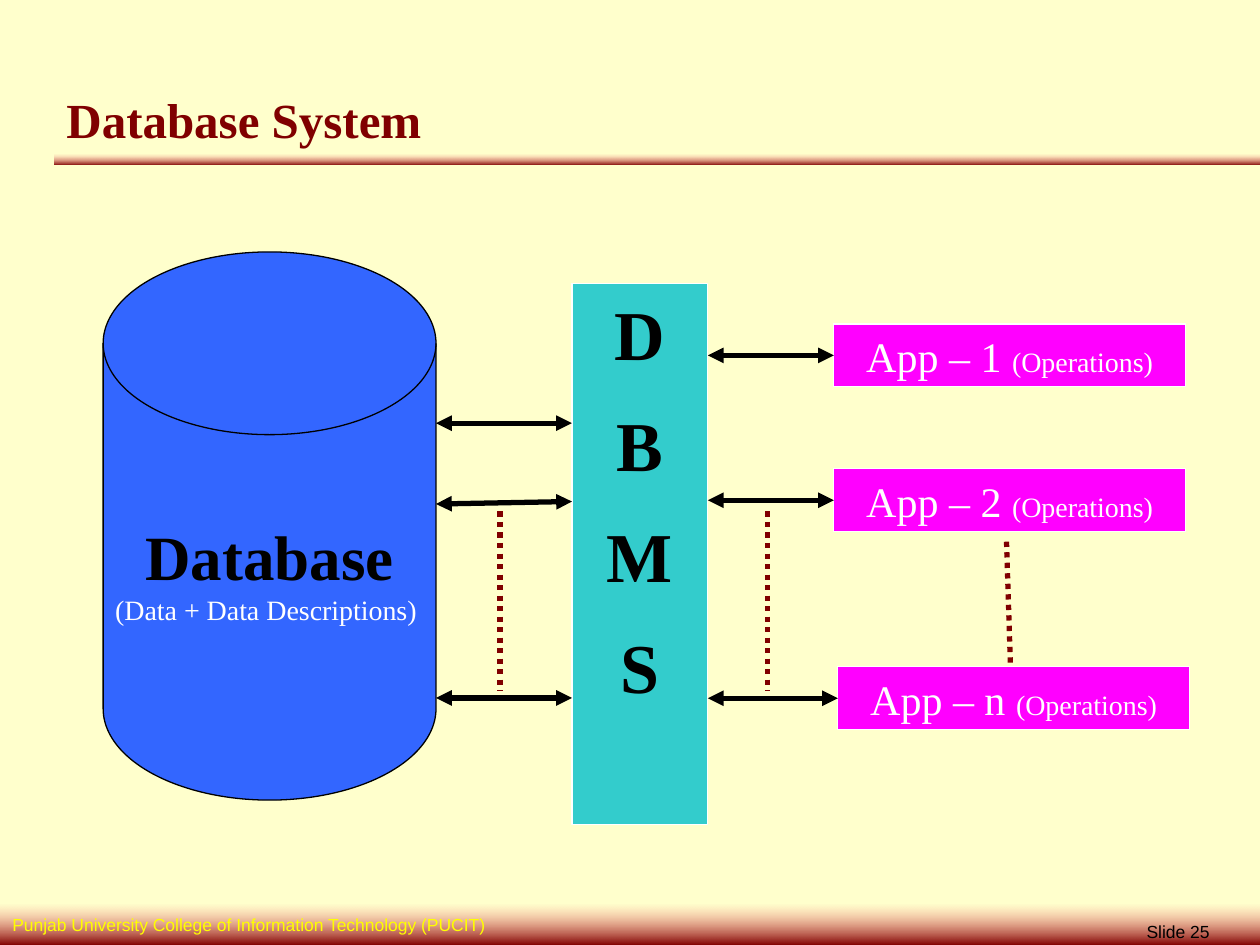
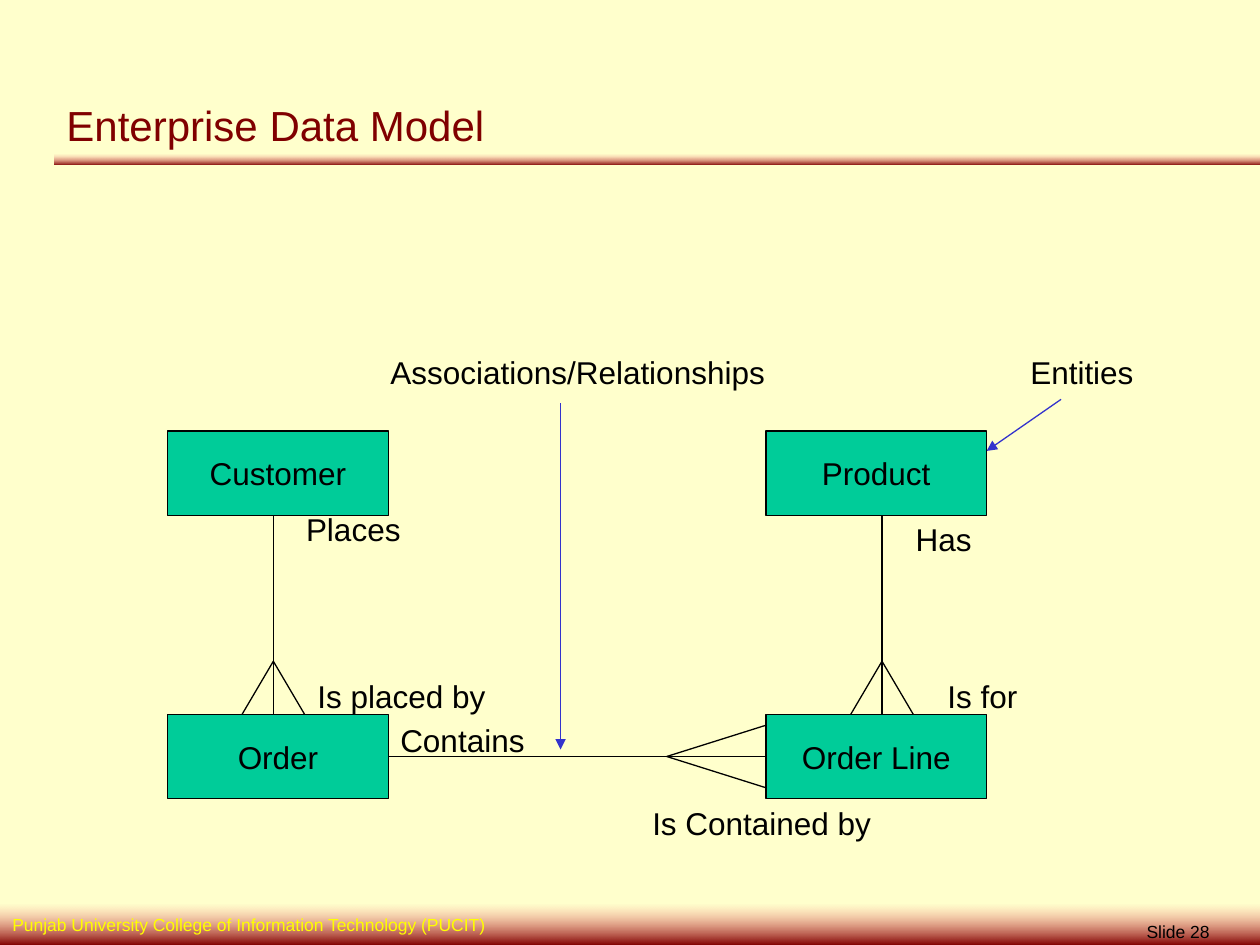
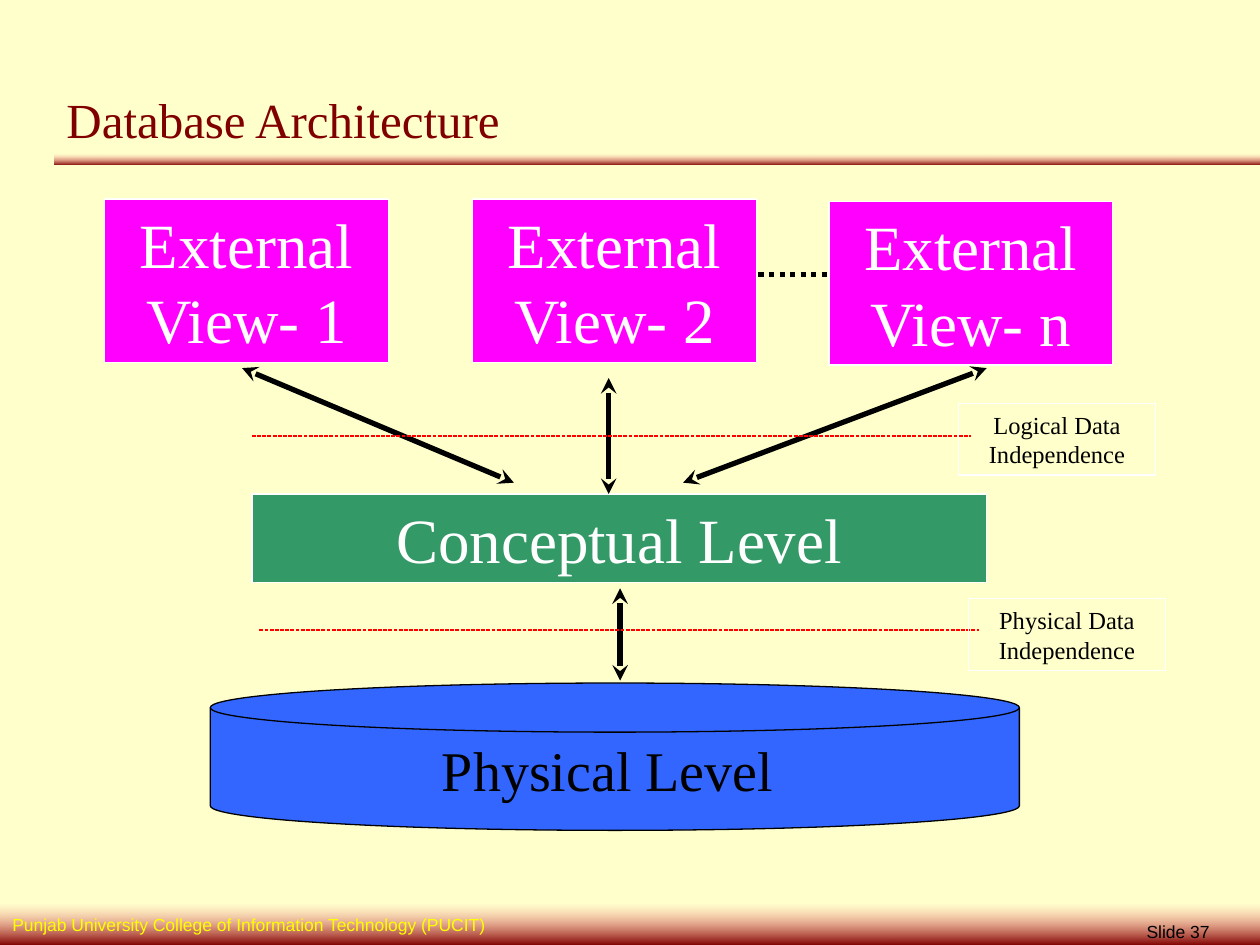
from lxml import etree
from pptx import Presentation
from pptx import util as u
from pptx.dml.color import RGBColor
from pptx.enum import dml, shapes, text
from pptx.oxml.ns import qn

CREAM = RGBColor(0xFF, 0xFF, 0xCC)
MAROON = RGBColor(0x80, 0x00, 0x00)
ROSE = RGBColor(0xFF, 0x85, 0x85)
YELLOW = RGBColor(0xFF, 0xFF, 0x00)
BLACK = RGBColor(0x00, 0x00, 0x00)
WHITE = RGBColor(0xFF, 0xFF, 0xFF)
BLUE = RGBColor(0x33, 0x66, 0xFF)
INDIGO = RGBColor(0x33, 0x33, 0xCC)
MAGENTA = RGBColor(0xFF, 0x00, 0xFF)
TURQUOISE = RGBColor(0x33, 0xCC, 0xCC)
MINT = RGBColor(0x00, 0xCC, 0x99)
GREEN = RGBColor(0x33, 0x99, 0x66)
RED = RGBColor(0xFF, 0x00, 0x00)

SANS = "Arial"
SERIF = "Times New Roman"
RECTANGLE = shapes.MSO_SHAPE.RECTANGLE
DISK = shapes.MSO_SHAPE.FLOWCHART_MAGNETIC_DISK
TOP = text.MSO_ANCHOR.TOP
MIDDLE = text.MSO_ANCHOR.MIDDLE
LEFT = text.PP_ALIGN.LEFT
CENTER = text.PP_ALIGN.CENTER
DOTS = dml.MSO_LINE.ROUND_DOT
DASHES = dml.MSO_LINE.SQUARE_DOT
FOOTER = "Punjab University College of Information Technology (PUCIT)"


def set_all(target, values):
    for name, value in values.items():
        setattr(target, name, value)


def style(size, color=BLACK, name=SERIF, bold=False):
    return {"size": u.Pt(size), "color": color, "name": name, "bold": bold}


class Deck:
    def __init__(self):
        self.presentation = Presentation()
        set_all(self.presentation, {"slide_width": u.Cm(25.4), "slide_height": u.Cm(19.05)})
        background = self.presentation.slide_master.background.fill
        background.solid()
        background.fore_color.rgb = CREAM
        self.slide = None

    def start(self, title, number, title_style, top=1.68, height=1.45, anchor=TOP):
        self.slide = self.presentation.slides.add_slide(self.presentation.slide_layouts[5])
        self.band(1.09, 3.12, 24.31, 0.2)
        self.band(0, 18.24, 25.4, 0.81)
        self.label(FOOTER, (0, 18.29, 16.4, 0.69), style(10, YELLOW, SANS))
        self.label(f"Slide {number}", (22.1, 18.44, 3.3, 0.61), style(10, name=SANS), CENTER)
        place = self.slide.shapes.title
        box = (1.09, top, 17.8, height)
        set_all(place, dict(zip(("left", "top", "width", "height"), map(u.Cm, box))))
        self.fill_text(place, [[(title, title_style)]], LEFT, anchor)

    def band(self, *box):
        shape = self.slide.shapes.add_shape(RECTANGLE, *map(u.Cm, box))
        shape.shadow.inherit = False
        shape.line.fill.background()
        shape.fill.gradient()
        for stop, color in zip(shape.fill.gradient_stops, (MAROON, ROSE)):
            stop.color.rgb = color
        last_color = shape.element.findall(".//" + qn("a:srgbClr"))[-1]
        etree.SubElement(last_color, qn("a:alpha"), val="0")

    def fill_text(self, shape, paragraphs, align=CENTER, anchor=TOP, wrap=True, spacing=None):
        frame = shape.text_frame
        set_all(frame, {
            "word_wrap": wrap, "auto_size": text.MSO_AUTO_SIZE.NONE, "vertical_anchor": anchor,
            "margin_left": u.Cm(0.25), "margin_right": u.Cm(0.25),
            "margin_top": u.Cm(0.13), "margin_bottom": u.Cm(0.13),
        })
        for index, runs in enumerate(paragraphs):
            paragraph = frame.add_paragraph() if index else frame.paragraphs[0]
            paragraph.alignment = align
            if index and spacing:
                set_all(paragraph, spacing)
            for words, run_style in runs:
                run = paragraph.add_run()
                run.text = words
                values = dict(run_style)
                run.font.color.rgb = values.pop("color")
                set_all(run.font, values)

    def label(self, words, box, label_style, align=LEFT):
        shape = self.slide.shapes.add_textbox(*map(u.Cm, box))
        self.fill_text(shape, [[(words, label_style)]], align)

    def shape(self, paragraphs, box, fill, outline=WHITE, kind=RECTANGLE, **layout):
        shape = self.slide.shapes.add_shape(kind, *map(u.Cm, box))
        shape.shadow.inherit = False
        if fill is None:
            shape.fill.background()
        else:
            shape.fill.solid()
            shape.fill.fore_color.rgb = fill
        shape.line.color.rgb = outline
        shape.line.width = u.Pt(0.75)
        self.fill_text(shape, paragraphs, **layout)
        return shape

    def line(self, *ends, color=BLACK, width=0.75, dash=None, head=None, tail=None):
        connector = self.slide.shapes.add_connector(
            shapes.MSO_CONNECTOR.STRAIGHT, *map(u.Cm, ends))
        connector.line.color.rgb = color
        set_all(connector.line, {"width": u.Pt(width), "dash_style": dash})
        outline = connector.element.spPr.find(qn("a:ln"))
        for tag, arrow in (("a:headEnd", head), ("a:tailEnd", tail)):
            if arrow:
                etree.SubElement(outline, qn(tag), type=arrow)
        etree.SubElement(connector.element.spPr, qn("a:effectLst"))
        return connector


def database_system(deck):
    deck.start("Database System", 25, style(28, MAROON, bold=True))
    deck.shape([[("Database", style(36, bold=True))],
                [("(Data + Data Descriptions) ", style(16, WHITE))]],
               (2.08, 5.08, 6.71, 11.05), BLUE, BLACK, DISK, anchor=MIDDLE, wrap=False)
    deck.shape([[(letter, style(40, bold=True))] for letter in "DBMS"],
               (11.53, 5.72, 2.74, 10.9), TURQUOISE,
               spacing={"space_before": u.Pt(25), "line_spacing": 0.8})
    double = {"width": 3, "head": "triangle", "tail": "triangle"}
    for start, end in ((8.53, 8.53), (10.16, 10.11), (14.07, 14.07)):
        deck.line(8.79, start, 11.53, end, **double)
    for name, left, top in (("1", 16.81, 6.53), ("2", 16.81, 9.45), ("n", 16.89, 13.44)):
        app = deck.shape([[(f"App – {name} ", style(24, WHITE)),
                           ("(Operations)", style(16, WHITE))]],
                         (left, top, 7.09, 1.27), MAGENTA)
        middle = top + 1.27 / 2
        deck.line(14.27, middle, left, middle, **double).end_connect(app, 1)
    for ends in ((10.08, 10.31, 10.08, 13.92), (15.47, 10.31, 15.47, 13.92),
                 (20.29, 10.92, 20.37, 13.44)):
        deck.line(*ends, color=MAROON, width=3, dash=DOTS)


def enterprise_data_model(deck):
    deck.start("Enterprise Data Model", 28, style(24, MAROON, SANS), 1.73, 1.57, MIDDLE)
    plain = style(18, name=SANS)
    entities = {}
    for name, left, top in (("Customer", 3.38, 8.69), ("Order Line", 15.44, 14.4),
                            ("Order", 3.38, 14.4), ("Product", 15.44, 8.69)):
        entities[name] = deck.shape([[(name, plain)]], (left, top, 4.45, 1.7), MINT, BLACK,
                                    anchor=MIDDLE, wrap=False)
    for x in (5.51, 17.78):
        deck.line(x, 10.39, x, 14.4)
    contains = deck.line(7.83, 15.25, 15.44, 15.25)
    contains.begin_connect(entities["Order"], 3)
    contains.end_connect(entities["Order Line"], 1)
    for spread in (0.63, -0.63):
        for x in (5.51, 17.78):
            deck.line(x, 13.33, x + spread, 14.4)
        deck.line(13.44, 15.25, 15.44, 15.25 + spread)
    for words, left, top, width in (
            ("Places", 5.92, 10.16, 2.97), ("Is placed by", 6.15, 13.51, 4.45),
            ("Contains", 7.82, 14.4, 3.81), ("Is Contained by", 12.9, 16.08, 5.51),
            ("Is for", 18.85, 13.51, 2.97), ("Has", 18.21, 10.36, 3.61),
            ("Entities", 20.52, 6.98, 3.61), ("Associations/Relationships", 7.62, 6.98, 8.89)):
        deck.label(words, (left, top, width, 1.02), plain)
    for ends in ((21.39, 8.05, 19.89, 9.09), (11.3, 8.13, 11.3, 15.11)):
        deck.line(*ends, color=INDIGO, tail="triangle")


def database_architecture(deck):
    deck.start("Database Architecture", 37, style(28, MAROON))
    for name, left, top in (("1", 2.11, 4.01), ("2", 9.53, 4.01), ("n", 16.71, 4.06)):
        deck.shape([[(f"External View- {name}", style(36, WHITE))]],
                   (left, top, 5.72, 3.3), MAGENTA)
    deck.shape([[("Physical Level ", style(32))]], (4.24, 13.77, 16.31, 2.97),
               BLUE, BLACK, DISK, anchor=MIDDLE, wrap=False)
    deck.shape([[("Conceptual Level", style(36, WHITE))]], (5.08, 9.96, 14.81, 1.78), GREEN)
    for ends in ((12.5, 11.86, 12.5, 13.72), (4.88, 7.42, 10.36, 9.73),
                 (12.27, 7.62, 12.27, 9.96), (19.89, 7.42, 13.77, 9.73)):
        deck.line(*ends, width=3, head="stealth", tail="stealth")
    deck.line(15.29, 5.54, 16.69, 5.54, width=3, dash=DOTS)
    for level, line_left, y, left, top in (("Logical", 5.08, 8.79, 19.33, 8.13),
                                           ("Physical", 5.23, 12.7, 19.53, 12.07)):
        deck.line(line_left, y, line_left + 14.5, y, color=RED, dash=DASHES)
        deck.shape([[(f"{level} Data Independence", style(14))]], (left, top, 3.96, 1.45), None)


def main():
    deck = Deck()
    for build in (database_system, enterprise_data_model, database_architecture):
        build(deck)
    deck.presentation.save("out.pptx")


if __name__ == "__main__":
    main()
